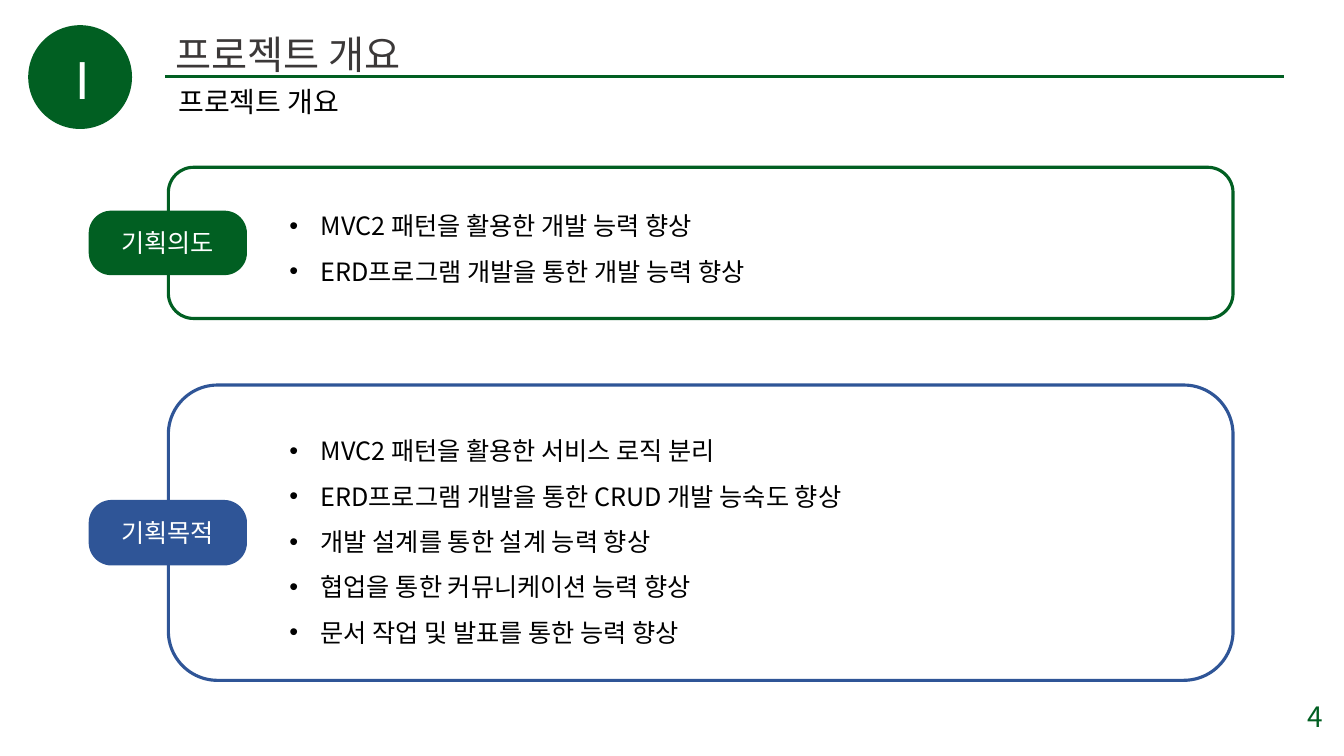
from dataclasses import dataclass

from lxml.etree import SubElement
from pptx import Presentation
from pptx.dml.color import RGBColor
from pptx.enum.shapes import MSO_CONNECTOR, MSO_SHAPE
from pptx.enum.text import MSO_ANCHOR, MSO_AUTO_SIZE, PP_ALIGN
from pptx.oxml.ns import qn
from pptx.util import Emu, Pt

FONT = "Noto Sans CJK KR"
EMU_PER_PX = 9144  # 100 px to the inch
LINE_WIDTH = Pt(2.25)
BULLET_INDENT = 31
COLORS = {
    "green": "015F22",
    "blue": "2F5597",
    "gray": "3B3838",
    "black": "000000",
    "white": "FFFFFF",
}


@dataclass(frozen=True)
class Box:
    left: int
    top: int
    width: int
    height: int

    def emu(self) -> list[Emu]:
        return [px(n) for n in (self.left, self.top, self.width, self.height)]


@dataclass(frozen=True)
class Section:
    label: str
    color: str
    frame: Box
    badge: Box
    list_box: Box
    items: tuple[str, ...]


SECTIONS = (
    Section(
        "기획의도", "green",
        Box(167, 166, 1056, 150), Box(88, 209, 157, 64), Box(277, 189, 500, 101),
        ("MVC2 패턴을 활용한 개발 능력 향상",
         "ERD프로그램 개발을 통한 개발 능력 향상"),
    ),
    Section(
        "기획목적", "blue",
        Box(167, 382, 1056, 293), Box(88, 496, 157, 65), Box(277, 412, 602, 237),
        ("MVC2 패턴을 활용한 서비스 로직 분리",
         "ERD프로그램 개발을 통한 CRUD 개발 능숙도 향상",
         "개발 설계를 통한 설계 능력 향상",
         "협업을 통한 커뮤니케이션 능력 향상",
         "문서 작업 및 발표를 통한 능력 향상"),
    ),
)


def px(length: int) -> Emu:
    return Emu(length * EMU_PER_PX)


def rgb(name: str) -> RGBColor:
    return RGBColor.from_string(COLORS[name])


def add_bullet(para) -> None:
    properties = para._p.get_or_add_pPr()
    properties.set("marL", str(px(BULLET_INDENT)))
    properties.set("indent", str(px(-BULLET_INDENT)))
    SubElement(properties, qn("a:buFont"), typeface="Arial")
    SubElement(properties, qn("a:buChar"), char="•")


def write(shape, *lines: str, size: int, color: str = "black",
          align=PP_ALIGN.LEFT, anchor=MSO_ANCHOR.TOP, spacing: float = 1.0,
          bullets: bool = False, wrap: bool = False) -> None:
    """Fill a shape with one paragraph per line."""
    frame = shape.text_frame
    frame.word_wrap = wrap
    frame.auto_size = MSO_AUTO_SIZE.NONE if wrap else MSO_AUTO_SIZE.SHAPE_TO_FIT_TEXT
    frame.vertical_anchor = anchor
    frame.margin_left = frame.margin_right = px(10)
    frame.margin_top = frame.margin_bottom = px(5)
    for index, line in enumerate(lines):
        para = frame.add_paragraph() if index else frame.paragraphs[0]
        para.alignment = align
        para.line_spacing = spacing
        para.space_before = Pt(0)
        if bullets:
            add_bullet(para)
        span = para.add_run()
        span.text = line
        span.font.size = Pt(size)
        span.font.color.rgb = rgb(color)
        span.font.name = FONT
        SubElement(span._r.get_or_add_rPr(), qn("a:ea"), typeface=FONT)


def place(placeholder, box: Box) -> None:
    placeholder.left, placeholder.top, placeholder.width, placeholder.height = box.emu()


def add_shape(page, kind: MSO_SHAPE, box: Box, *, fill: str = "", line: str = ""):
    shape = page.shapes.add_shape(kind, *box.emu())
    shape.shadow.inherit = False
    if fill:
        shape.fill.solid()
        shape.fill.fore_color.rgb = rgb(fill)
    else:
        shape.fill.background()
    if line:
        shape.line.color.rgb = rgb(line)
        shape.line.width = LINE_WIDTH
    else:
        shape.line.fill.background()
    return shape


def add_text(page, box: Box, text: str, **text_format) -> None:
    write(page.shapes.add_textbox(*box.emu()), text, **text_format)


def add_header(page) -> None:
    add_shape(page, MSO_SHAPE.OVAL, Box(28, 25, 103, 103), fill="green")
    add_text(page, Box(47, 44, 69, 71), "Ⅰ", size=36, color="white")

    rule = page.shapes.add_connector(
        MSO_CONNECTOR.STRAIGHT, px(164), px(76), px(1274), px(76))
    rule.line.color.rgb = rgb("green")
    rule.line.width = LINE_WIDTH
    SubElement(rule._element.spPr, qn("a:effectLst"))

    place(page.shapes.title, Box(164, 25, 258, 57))
    write(page.shapes.title, "프로젝트 개요", size=28, color="gray")
    add_text(page, Box(167, 79, 190, 44), "프로젝트 개요", size=20)


def add_section(page, section: Section, body) -> None:
    add_shape(page, MSO_SHAPE.ROUNDED_RECTANGLE, section.frame, line=section.color)
    badge = add_shape(page, MSO_SHAPE.ROUNDED_RECTANGLE, section.badge,
                      fill=section.color)
    badge.adjustments[0] = 0.35
    write(badge, section.label, size=18, color="white",
          align=PP_ALIGN.CENTER, anchor=MSO_ANCHOR.MIDDLE, wrap=True)
    place(body, section.list_box)
    write(body, *section.items, size=18, spacing=1.5, bullets=True)


def main() -> None:
    deck = Presentation()
    deck.slide_width, deck.slide_height = px(1333), px(750)
    two_content = deck.slide_layouts[3]
    page = deck.slides.add_slide(two_content)

    # Header with chapter mark, title and subtitle
    add_header(page)

    # Framed sections, one list placeholder each
    for number, section in enumerate(SECTIONS, start=1):
        add_section(page, section, page.placeholders[number])

    # Page number
    add_text(page, Box(1022, 691, 300, 40), "4", size=20, color="green",
             align=PP_ALIGN.RIGHT, anchor=MSO_ANCHOR.MIDDLE, wrap=True)

    deck.save("out.pptx")


if __name__ == "__main__":
    main()
